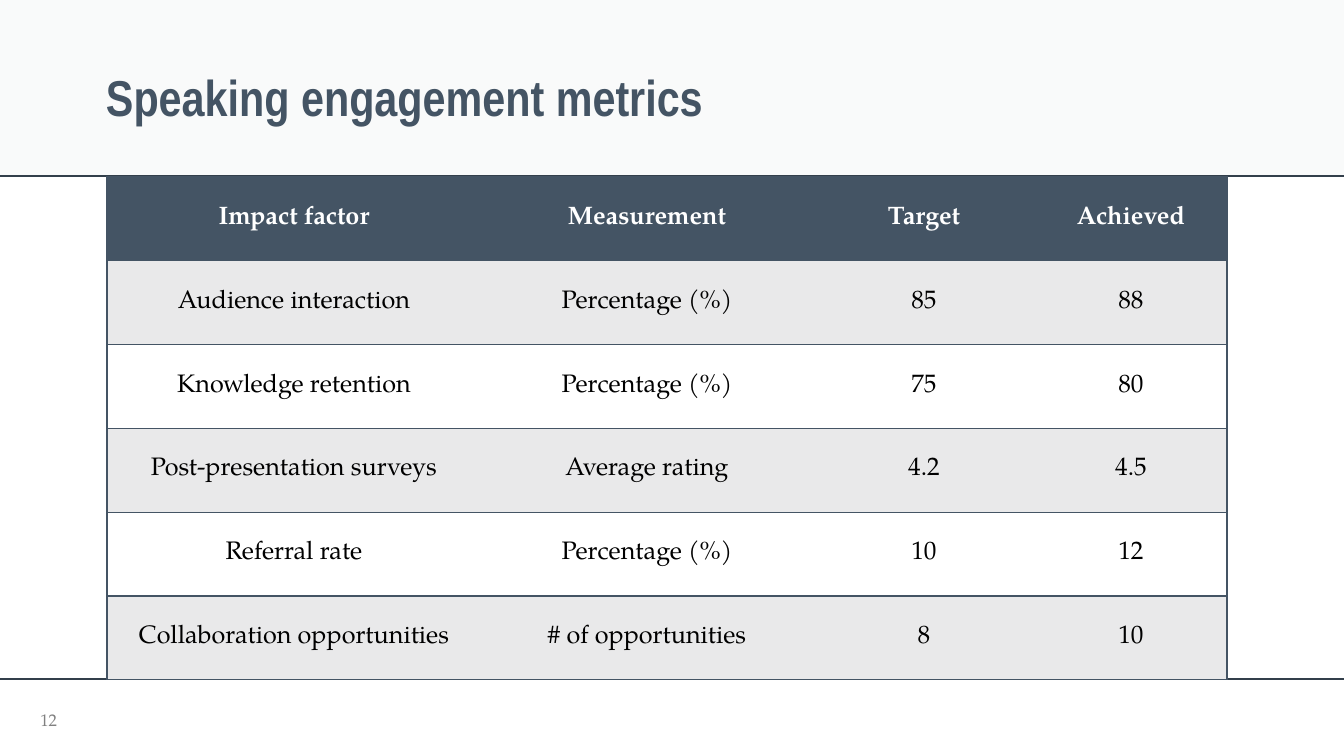
import pptx
import pptx.util
import pptx.dml.color
import pptx.enum.shapes
import pptx.enum.text
import pptx.oxml
import pptx.oxml.ns
from dataclasses import dataclass

ALIGN = pptx.enum.text.PP_ALIGN
MIDDLE = pptx.enum.text.MSO_ANCHOR.MIDDLE
WIDE, HIGH = 1344, 756
PLAIN_GRID = "{2D5ABB26-0587-4C30-8999-92F81FD0307C}"
SPACE = pptx.oxml.ns.nsdecls("a")


@dataclass(frozen=True)
class Theme:
    """Colours, fonts and type sizes."""
    slate: str = "445464"
    rule: str = "333F4B"
    mist: str = "C5CFCE"
    band: str = "E9E9EA"
    white: str = "FFFFFF"
    black: str = "000000"
    grey: str = "808080"
    head: str = "Arial Narrow"
    body: str = "TeX Gyre Pagella"
    big: int = 36
    mid: int = 18
    small: int = 12


THEME = Theme()
METRICS = [
    ("Impact factor", "Measurement", "Target", "Achieved"),
    ("Audience interaction", "Percentage (%)", "85", "88"),
    ("Knowledge retention", "Percentage (%)", "75", "80"),
    ("Post-presentation surveys", "Average rating", "4.2", "4.5"),
    ("Referral rate", "Percentage (%)", "10", "12"),
    ("Collaboration opportunities", "# of opportunities", "8", "10"),
]


def px(count):
    """Turn pixels into EMU."""
    return pptx.util.Emu(round(count * 914400 / 100.8))


def tint(name):
    """Make a colour from its hex name."""
    return pptx.dml.color.RGBColor.from_string(name)


def paint(item, color):
    """Fill a shape or cell with a solid colour."""
    item.fill.solid()
    item.fill.fore_color.rgb = tint(color)


def write(frame, text, size=THEME.mid, font=THEME.body, color=THEME.black,
          bold=False, align=ALIGN.CENTER, lead=1.0):
    """Put one formatted line of text in a frame."""
    line = frame.paragraphs[0]
    line.alignment, line.line_spacing = align, lead
    run = line.add_run()
    run.text = text
    run.font.size, run.font.name = pptx.util.Pt(size), font
    run.font.bold, run.font.color.rgb = bold, tint(color)


def add_rule(slide, top):
    """Draw a line across the slide."""
    kind = pptx.enum.shapes.MSO_CONNECTOR.STRAIGHT
    rule = slide.shapes.add_connector(kind, 0, px(top), px(WIDE), px(top))
    rule.line.color.rgb = tint(THEME.rule)
    rule.line.width = pptx.util.Pt(1)
    rule._element.spPr.append(pptx.oxml.parse_xml(f"<a:effectLst {SPACE}/>"))


def add_title(slide, text, left, top, width, height):
    """Format the title as a pale band."""
    title = slide.shapes.title
    title.left, title.top = px(left), px(top)
    title.width, title.height = px(width), px(height)
    paint(title, THEME.mist)
    shade = title._element.spPr.find(".//" + pptx.oxml.ns.qn("a:srgbClr"))
    shade.append(pptx.oxml.parse_xml(f'<a:alpha {SPACE} val="10000"/>'))
    frame = title.text_frame
    frame.auto_size = pptx.enum.text.MSO_AUTO_SIZE.NONE
    frame.word_wrap, frame.vertical_anchor = True, MIDDLE
    frame.margin_left, frame.margin_right = px(106), px(10)
    frame.margin_top, frame.margin_bottom = px(30), px(5)
    write(frame, text, size=THEME.big, font=THEME.head, color=THEME.slate,
          bold=True, align=ALIGN.LEFT, lead=0.9)


def edge(cell, sides):
    """Draw the named borders of a cell, ahead of its fill."""
    props = cell._tc.get_or_add_tcPr()
    for spot, side in enumerate(sides):
        props.insert(spot, pptx.oxml.parse_xml(
            f'<a:ln{side} {SPACE} w="12700"><a:solidFill>'
            f'<a:srgbClr val="{THEME.slate}"/></a:solidFill></a:ln{side}>'))


def add_grid(slide, rows, left, top, width, height, parts):
    """Place the metrics table, its columns sharing the width by parts."""
    grid = slide.shapes.add_table(len(rows), len(parts), px(left), px(top),
                                  px(width), px(height)).table
    grid.horz_banding = False
    style = grid._tbl.tblPr.find(pptx.oxml.ns.qn("a:tableStyleId"))
    style.text = PLAIN_GRID
    for column, part in zip(grid.columns, parts):
        column.width = px(width * part / sum(parts))
    for r, row in enumerate(rows):
        grid.rows[r].height = px(height / len(rows))
        head = r == 0
        fill = THEME.slate if head else THEME.band if r % 2 else THEME.white
        for c, text in enumerate(row):
            cell = grid.cell(r, c)
            cell.vertical_anchor = MIDDLE
            paint(cell, fill)
            sides = "LTB" if c == 0 else "RTB" if c == len(row) - 1 else "TB"
            edge(cell, sides)
            write(cell.text_frame, text, bold=head,
                  color=THEME.white if head else THEME.black)


def add_number(slide, text, left, top, width, height):
    """Place the page number."""
    box = slide.shapes.add_textbox(px(left), px(top), px(width), px(height))
    box.text_frame.word_wrap = True
    box.text_frame.vertical_anchor = MIDDLE
    write(box.text_frame, text, size=THEME.small, color=THEME.grey,
          align=ALIGN.RIGHT)


def build_slide(deck):
    """Build the metrics slide."""
    slide = deck.slides.add_slide(deck.slide_layouts[5])
    add_title(slide, "Speaking engagement metrics", 0, 0, WIDE, 176)
    for top in (176, 679):
        add_rule(slide, top)
    add_grid(slide, METRICS, 107, 177, 1120, 503, (374, 332, 222, 192))
    add_number(slide, "12", 9, 705, 58, 30)


def main():
    """Make and save the deck."""
    deck = pptx.Presentation()
    deck.slide_width, deck.slide_height = px(WIDE), px(HIGH)
    build_slide(deck)
    deck.save("out.pptx")


if __name__ == "__main__":
    main()
